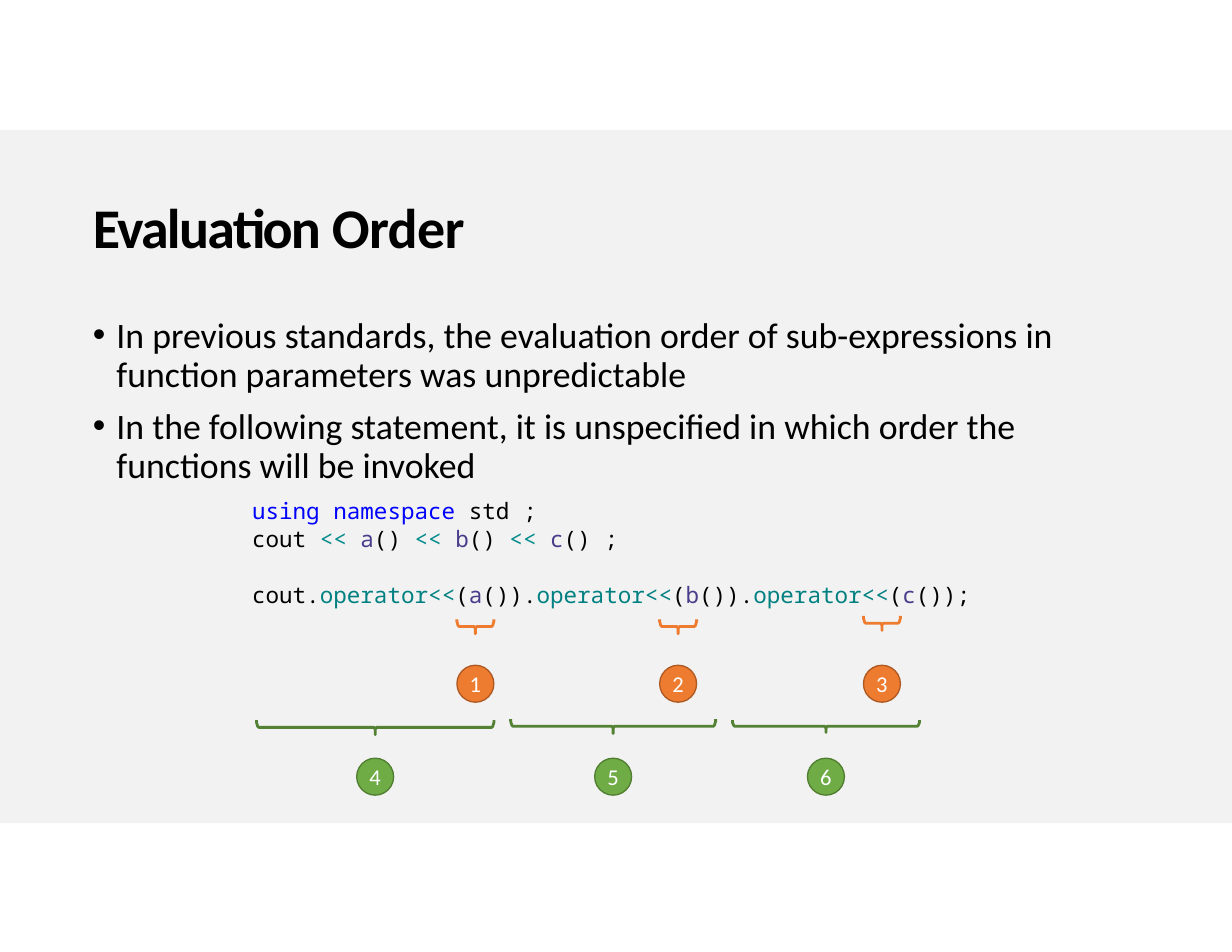
from dataclasses import dataclass

from lxml.etree import SubElement
from pptx import Presentation
from pptx.dml.color import RGBColor
from pptx.enum.shapes import MSO_SHAPE
from pptx.enum.text import MSO_ANCHOR, MSO_AUTO_SIZE, PP_ALIGN
from pptx.oxml.ns import qn
from pptx.util import Inches, Pt

BLACK, BLUE, TEAL, PURPLE = "000000", "0000FF", "008080", "483D8A"
BAND, WHITE = "F2F2F2", "FFFFFF"
BODY_FONT, CODE_FONT = "Calibri", "Noto Sans Mono"
BADGE_SIZE = 0.33


@dataclass(frozen=True)
class Palette:
    fill: str
    outline: str
    brace: str


@dataclass(frozen=True)
class Step:
    """A brace under part of the expression, with its numbered badge."""
    number: int
    left: float
    width: float
    brace_top: float
    brace_height: float
    badge_top: float
    palette: Palette


ORANGE = Palette("ED7C31", "AE5921", "ED7C31")
GREEN = Palette("70AC46", "507E31", "548234")

STEPS = [
    Step(1, 4.08, 0.33, 5.53, 0.13, 5.94, ORANGE),
    Step(2, 5.89, 0.33, 5.53, 0.13, 5.94, ORANGE),
    Step(3, 7.71, 0.33, 5.5, 0.13, 5.94, ORANGE),
    Step(4, 2.29, 2.12, 6.43, 0.13, 6.77, GREEN),
    Step(5, 4.56, 1.83, 6.42, 0.13, 6.77, GREEN),
    Step(6, 6.54, 1.67, 6.43, 0.11, 6.77, GREEN),
]

BULLETS = [
    ("In previous standards, the evaluation order of sub-expressions in "
     "function parameters was unpredictable", 4.2),
    ("In the following statement, it is unspecified in which order the "
     "functions will be invoked", 8.2),
]

STREAM_LINE = [("cout ", BLACK)]
CALL_LINE = [("cout.", BLACK)]
for name, call_end in (("a", "())."), ("b", "())."), ("c", "());")):
    STREAM_LINE += [("<< ", "008A8A"), (name, PURPLE), ("() ", BLACK)]
    CALL_LINE += [("operator<<", TEAL), ("(", BLACK), (name, PURPLE), (call_end, BLACK)]
STREAM_LINE.append((";", BLACK))

# Each line of code with the space before it, in points
CODE = [
    ([("using namespace ", BLUE), ("std ;", BLACK)], 7.8),
    (STREAM_LINE, 0.3),
    (CALL_LINE, 18.3),
]


def rgb(value: str) -> RGBColor:
    return RGBColor.from_string(value)


def add_run(p, text: str, size: float, color: str, font: str = BODY_FONT,
            bold: bool = False, spacing: float = 0) -> None:
    r = p.add_run()
    r.text = text
    r.font.size = Pt(size)
    r.font.name = font
    r.font.bold = bold
    r.font.color.rgb = rgb(color)
    if spacing:
        r._r.get_or_add_rPr().set("spc", str(round(spacing * 100)))


def set_paragraph(p, before: float, margin: float, indent: float = 0,
                  bullet: str = "") -> None:
    p.alignment = PP_ALIGN.LEFT
    p.space_before, p.space_after = Pt(before), Pt(0)
    pPr = p._p.get_or_add_pPr()
    pPr.set("marL", str(Inches(margin)))
    pPr.set("indent", str(Inches(indent)))
    if bullet:
        SubElement(pPr, qn("a:buChar")).set("char", bullet)
    else:
        SubElement(pPr, qn("a:buNone"))


def place(sp, left: float, top: float, width: float, height: float, inset: float):
    """Move a placeholder and return its text frame."""
    sp.left, sp.top = Inches(left), Inches(top)
    sp.width, sp.height = Inches(width), Inches(height)
    tf = sp.text_frame
    tf.auto_size = MSO_AUTO_SIZE.NONE
    tf.word_wrap = True
    tf.vertical_anchor = MSO_ANCHOR.TOP
    tf.margin_left = tf.margin_right = tf.margin_bottom = 0
    tf.margin_top = Inches(inset)
    return tf


def add_band(s) -> None:
    """Add the grey page area behind the placeholders."""
    sp = s.shapes.add_shape(MSO_SHAPE.RECTANGLE, 0, Inches(1.16), Inches(11), Inches(6.19))
    sp.shadow.inherit = False
    sp.fill.solid()
    sp.fill.fore_color.rgb = rgb(BAND)
    sp.line.fill.background()
    s.shapes._spTree.insert(2, sp._element)


def fill_title(s) -> None:
    tf = place(s.shapes.title, 0.82, 1.7, 5, 0.63, 0.02)
    p = tf.paragraphs[0]
    set_paragraph(p, 1.4, 0.01)
    add_run(p, "Evaluation ", 36, BLACK, bold=True, spacing=-1.1)
    add_run(p, "Order", 36, BLACK, bold=True, spacing=-0.4)


def fill_body(s) -> None:
    tf = place(s.placeholders[1], 0.82, 2.77, 8.64, 2.67, 0.06)
    for i, (text, before) in enumerate(BULLETS):
        p = tf.add_paragraph() if i else tf.paragraphs[0]
        p.line_spacing = Pt(25)
        set_paragraph(p, before, 0.22, -0.21, "•")
        add_run(p, text, 23, BLACK)
    for runs, before in CODE:
        p = tf.add_paragraph()
        set_paragraph(p, before, 1.43)
        for text, color in runs:
            add_run(p, text, 14.5, color, CODE_FONT)


def add_brace(s, step: Step) -> None:
    half, mid = step.width / 2, step.brace_height / 2
    # Left half, from the open end to the tip; the right half mirrors it
    left_half = [(0, 0), (0, 0.02), (0.01, mid - 0.01), (0.02, mid),
                 (half - 0.01, mid), (half, mid + 0.02), (half, step.brace_height)]
    right_half = [(step.width - x, y) for x, y in reversed(left_half[:-1])]
    points = [(Inches(step.left + x), Inches(step.brace_top + y))
              for x, y in left_half + right_half]
    builder = s.shapes.build_freeform(*points[0])
    builder.add_line_segments(points[1:], close=False)
    sp = builder.convert_to_shape()
    sp.shadow.inherit = False
    sp.fill.background()
    sp.line.color.rgb = rgb(step.palette.brace)
    sp.line.width = Pt(1.8)


def add_badge(s, step: Step) -> None:
    left = step.left + (step.width - BADGE_SIZE) / 2
    sp = s.shapes.add_shape(MSO_SHAPE.OVAL, Inches(left), Inches(step.badge_top),
                            Inches(BADGE_SIZE), Inches(BADGE_SIZE))
    sp.shadow.inherit = False
    sp.fill.solid()
    sp.fill.fore_color.rgb = rgb(step.palette.fill)
    sp.line.color.rgb = rgb(step.palette.outline)
    sp.line.width = Pt(0.84)
    tf = sp.text_frame
    tf.margin_left = tf.margin_right = tf.margin_top = tf.margin_bottom = 0
    tf.vertical_anchor = MSO_ANCHOR.MIDDLE
    tf.word_wrap = False
    p = tf.paragraphs[0]
    p.alignment = PP_ALIGN.CENTER
    add_run(p, str(step.number), 14.5, WHITE)


def main() -> None:
    prs = Presentation()
    prs.slide_width, prs.slide_height = Inches(11), Inches(8.5)
    s = prs.slides.add_slide(prs.slide_layouts[1])
    add_band(s)
    fill_title(s)
    fill_body(s)
    for step in STEPS:
        add_brace(s, step)
        add_badge(s, step)
    prs.save("out.pptx")


if __name__ == "__main__":
    main()
